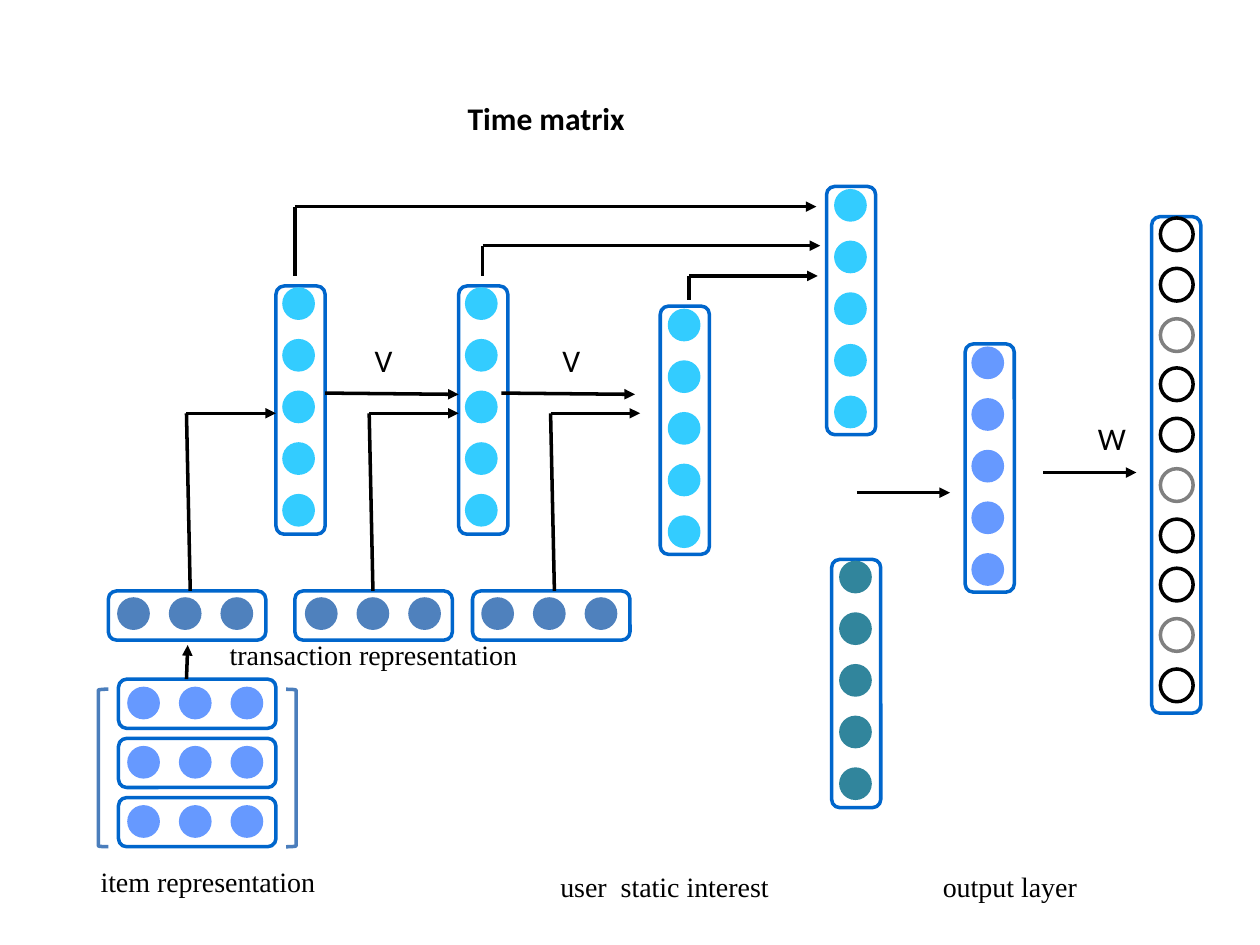
from dataclasses import dataclass
from typing import NamedTuple

from lxml.etree import SubElement
from pptx import Presentation
from pptx.dml.color import RGBColor
from pptx.enum.shapes import MSO_CONNECTOR, MSO_SHAPE
from pptx.enum.text import MSO_ANCHOR, MSO_AUTO_SIZE, PP_ALIGN
from pptx.oxml.ns import qn
from pptx.util import Emu, Pt

EMU_PER_PX = 9144  # 100 px to the inch
DOT = 26


@dataclass(frozen=True)
class Theme:
    ink: str = "000000"
    faded: str = "808080"
    frame: str = "0066CC"
    bracket: str = "4B7EBC"
    hidden: str = "33CCFF"
    item: str = "6699FF"
    transaction: str = "4F81BD"
    user: str = "31859C"
    serif: str = "Times New Roman"
    sans: str = "Calibri"
    caption_size: int = 16
    label_size: int = 18
    stroke: int = 2


THEME = Theme()


class Strip(NamedTuple):
    """A rounded frame holding a row or column of evenly spaced dots."""
    left: int
    top: int
    dot_left: int
    dot_top: int
    color: str
    width: int = 39
    height: int = 197
    span_x: int = 0
    span_y: int = 164
    count: int = 5
    hollow: bool = False


class Stroke(NamedTuple):
    x1: int
    y1: int
    x2: int
    y2: int
    arrow: bool = True


class Label(NamedTuple):
    text: str
    left: int
    top: int
    width: int
    height: int
    font: str = THEME.serif
    size: int = THEME.caption_size
    align: PP_ALIGN = PP_ALIGN.CENTER


def px(value: float) -> Emu:
    return Emu(round(value * EMU_PER_PX))


def row(left: int, top: int, dot_left: int, dot_top: int, color: str) -> Strip:
    return Strip(left, top, dot_left, dot_top, color,
                 width=125, height=39, span_x=82, span_y=0, count=3)


def add_outline(shapes, kind: MSO_SHAPE, left: int, top: int, width: int, height: int, *,
                fill: str | None = None, line: str | None = None):
    shape = shapes.add_shape(kind, px(left), px(top), px(width), px(height))
    shape.shadow.inherit = False
    if fill:
        shape.fill.solid()
        shape.fill.fore_color.rgb = RGBColor.from_string(fill)
    else:
        shape.fill.background()
    if line:
        shape.line.color.rgb = RGBColor.from_string(line)
        shape.line.width = Pt(THEME.stroke)
    else:
        shape.line.fill.background()
    return shape


def add_strip(page, strip: Strip) -> None:
    shapes = page.shapes.add_group_shape().shapes
    add_outline(shapes, MSO_SHAPE.ROUNDED_RECTANGLE, strip.left, strip.top,
                strip.width, strip.height, line=THEME.frame)
    for index in range(strip.count):
        share = index / (strip.count - 1)
        left = round(strip.dot_left + strip.span_x * share)
        top = round(strip.dot_top + strip.span_y * share)
        if strip.hollow:  # every third output is faded
            paint = {"line": THEME.faded if index % 3 == 2 else strip.color}
        else:
            paint = {"fill": strip.color}
        add_outline(shapes, MSO_SHAPE.OVAL, left, top, DOT, DOT, **paint)


def add_stroke(page, stroke: Stroke) -> None:
    line = page.shapes.add_connector(MSO_CONNECTOR.STRAIGHT, px(stroke.x1), px(stroke.y1),
                                     px(stroke.x2), px(stroke.y2))
    line.line.color.rgb = RGBColor.from_string(THEME.ink)
    line.line.width = Pt(THEME.stroke)
    properties = line.element.spPr
    if stroke.arrow:
        SubElement(properties.find(qn("a:ln")), qn("a:tailEnd"), type="triangle")
    SubElement(properties, qn("a:effectLst"))


def write(box, text: str, *, font: str, size: int, align: PP_ALIGN, bold: bool = False) -> None:
    frame = box.text_frame
    frame.word_wrap = True
    frame.auto_size = MSO_AUTO_SIZE.NONE
    frame.vertical_anchor = MSO_ANCHOR.MIDDLE
    para = frame.paragraphs[0]
    para.alignment = align
    span = para.add_run()
    span.text = text
    span.font.name = font
    span.font.size = Pt(size)
    span.font.bold = bold
    span.font.color.rgb = RGBColor.from_string(THEME.ink)


def add_label(page, label: Label) -> None:
    box = page.shapes.add_textbox(px(label.left), px(label.top), px(label.width), px(label.height))
    write(box, label.text, font=label.font, size=label.size, align=label.align)


def weight(text: str, left: int, top: int) -> Label:
    return Label(text, left, top, 47, 39, THEME.sans, THEME.label_size)


STRIPS = [
    # User interest, combined layer and output layer
    Strip(660, 444, 666, 445, THEME.user),
    Strip(766, 273, 771, 275, THEME.item),
    Strip(914, 172, 921, 173, THEME.ink, height=394, span_y=358, count=10, hollow=True),
    # Hidden states and their time matrix
    Strip(219, 227, 224, 228, THEME.hidden),
    Strip(364, 227, 369, 228, THEME.hidden),
    Strip(524, 243, 530, 245, THEME.hidden),
    Strip(656, 148, 662, 150, THEME.hidden),
    # Transactions
    row(86, 469, 93, 474, THEME.transaction),
    row(234, 469, 242, 474, THEME.transaction),
    row(375, 469, 382, 474, THEME.transaction),
    # Items
    *(row(94, top, 101, top + 6, THEME.item) for top in (539, 586, 633)),
]

STROKES = [
    # Transaction to hidden state: riser, then arrow
    *(stroke for x, end in ((148, 219), (293, 364), (437, 508))
      for stroke in (Stroke(x, 328, x + 3, 469, arrow=False), Stroke(x, 328, end, 328))),
    # Hidden state to time matrix: riser, then arrow
    *(stroke for x, y, bottom, end in ((234, 164, 219, 648), (383, 195, 219, 651),
                                       (547, 219, 238, 649))
      for stroke in (Stroke(x, y, x, bottom, arrow=False), Stroke(x, y, end, y))),
    # Hidden state to the next one
    Stroke(258, 312, 364, 313),
    Stroke(398, 312, 504, 313),
    # Items to transaction, then on to the output
    Stroke(148, 539, 149, 512),
    Stroke(680, 391, 754, 391),
    Stroke(828, 375, 902, 375),
]

LABELS = [
    Label("user  static interest", 414, 688, 227, 31),
    Label("transaction representation", 148, 508, 297, 23),
    Label("item representation", 70, 688, 297, 23, align=PP_ALIGN.LEFT),
    Label("output layer", 688, 688, 227, 31),
    weight("V", 281, 266),
    weight("V", 430, 266),
    weight("W", 859, 328),
]


def main() -> None:
    deck = Presentation()
    deck.slide_width, deck.slide_height = px(1000), px(750)
    page = deck.slides.add_slide(deck.slide_layouts[5])

    # Title
    title = page.shapes.title
    title.left, title.top, title.width, title.height = px(250), px(62), px(367), px(63)
    write(title, "Time matrix", font=THEME.sans, size=THEME.label_size,
          align=PP_ALIGN.CENTER, bold=True)

    # Network layers, links and captions
    for strip in STRIPS:
        add_strip(page, strip)
    for stroke in STROKES:
        add_stroke(page, stroke)
    for label in LABELS:
        add_label(page, label)

    # Brackets around the items
    for left, rotation in ((78, 0), (227, 180)):
        bracket = add_outline(page.shapes, MSO_SHAPE.LEFT_BRACKET, left, 547, 8, 125,
                              line=THEME.bracket)
        bracket.rotation = rotation

    deck.save("out.pptx")


if __name__ == "__main__":
    main()
